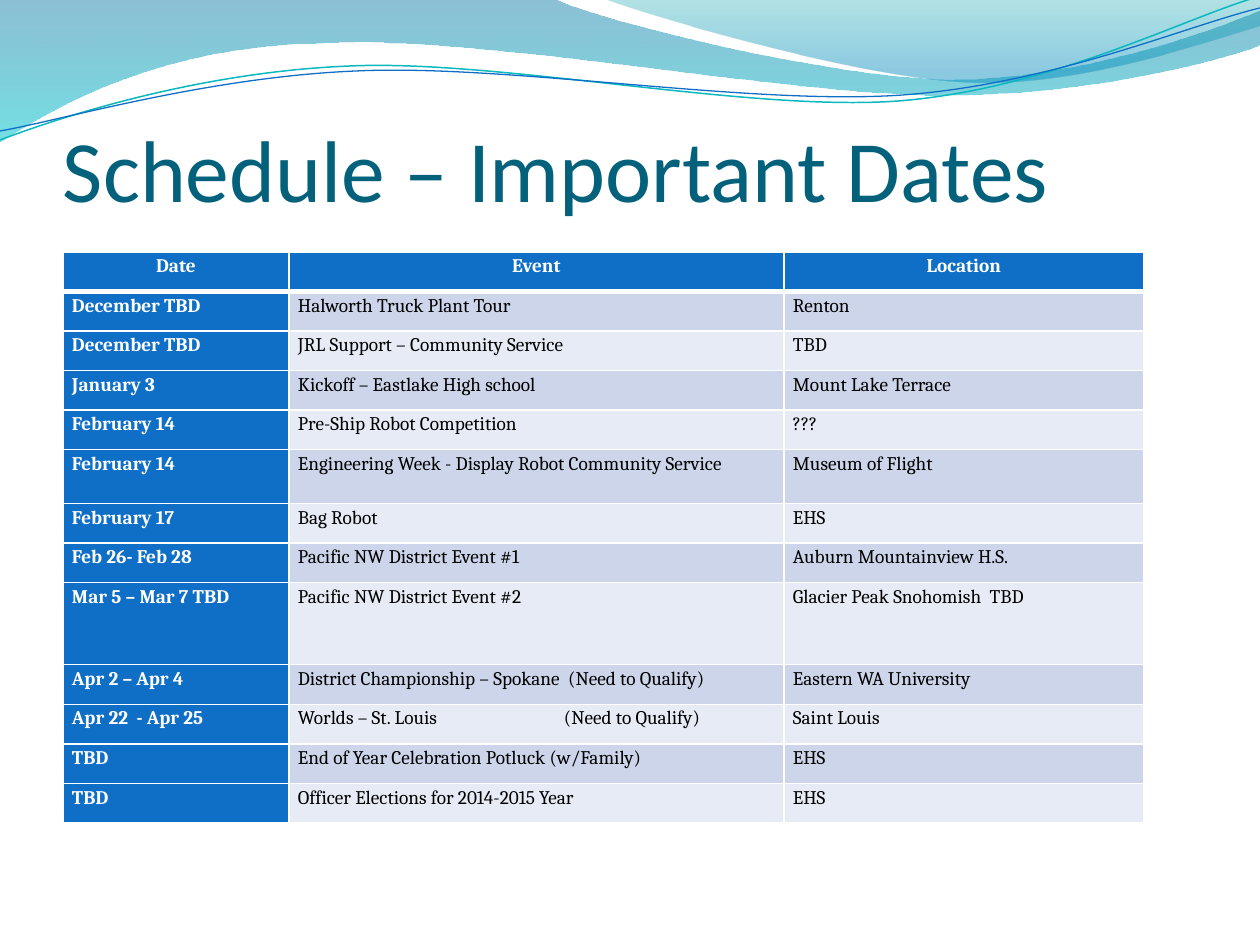
from lxml.etree import SubElement
from pptx import Presentation
from pptx.dml.color import RGBColor
from pptx.enum.text import MSO_ANCHOR, PP_ALIGN
from pptx.oxml.ns import qn
from pptx.util import Pt

PX = 914400 / 126
TITLE = "Schedule – Important Dates"
HEAD = ("Date", "Event", "Location")
ROWS = [
    ("December TBD", "Halworth Truck Plant Tour", "Renton"),
    ("December TBD", "JRL Support – Community Service", "TBD"),
    ("January 3", "Kickoff – Eastlake High school", "Mount Lake Terrace"),
    ("February 14", "Pre-Ship Robot Competition", "???"),
    ("February 14", "Engineering Week - Display Robot Community Service", "Museum of Flight"),
    ("February 17", "Bag Robot", "EHS"),
    ("Feb 26- Feb 28", "Pacific NW District Event #1", "Auburn Mountainview H.S."),
    ("Mar 5 – Mar 7 TBD", "Pacific NW District Event #2", "Glacier Peak Snohomish  TBD"),
    ("Apr 2 – Apr 4", "District Championship – Spokane  (Need to Qualify)", "Eastern WA University"),
    ("Apr 22  - Apr 25", "Worlds – St. Louis\t(Need to Qualify)", "Saint Louis"),
    ("TBD", "End of Year Celebration Potluck (w/Family)", "EHS"),
    ("TBD", "Officer Elections for 2014-2015 Year", "EHS"),
]
COLS = (226, 495, 360)
TALL = {5: 54, 8: 82}
HIGH = 571
TAB = 266
BLUE = "0F6FC6"
WHITE = "FFFFFF"
BANDS = ("E7EBF5", "CCD5EA")
EDGES = {"a:lnL": 1, "a:lnR": 1, "a:lnT": 1, "a:lnB": 3}

WAVES = [
    ((0, 0), [
        [(554, -1)],
        [(600, 21), (837, 79), (955, 79)],
        [(1075, 79), (1207, 33), (1260, 11)],
        [(1261, 45)],
        [(1239, 55), (1096, 96), (940, 95)],
        [(784, 95), (481, 35), (324, 43)],
        [(163, 45), (58, 105), (-1, 142)],
    ], [(0, "0074A1", 45), (1, "00C6CF", 55)]),
    ((604, -1), [
        [(641, 14), (859, 78), (969, 82)],
        [(1079, 87), (1211, 40), (1260, 26)],
        [(1260, 0)],
    ], [(0, "00A1A9", 30), (0.8, "008BBF", 45)]),
]
LINES = [
    ((0, 140), [
        [(60, 117), (199, 72), (349, 66)],
        [(498, 59), (747, 112), (898, 101)],
        [(1050, 89), (1182, 19), (1257, -3)],
    ], "0AB8BF", 0.85),
    ((0, 131), [
        [(59, 121), (207, 77), (357, 71)],
        [(508, 64), (752, 106), (903, 95)],
        [(1053, 84), (1186, 26), (1260, 8)],
    ], BLUE, 0.75),
]


def px(num):
    return round(num * PX)


def rgb(code):
    return RGBColor.from_string(code)


def draw(slide, start, parts, close):
    pen = slide.shapes.build_freeform(px(start[0]), px(start[1]))
    pen.add_line_segments([(px(x), px(y)) for part in parts for x, y in part], close=close)
    shape = pen.convert_to_shape()
    shape.shadow.inherit = False
    legs = iter(list(shape._element.spPr.iter(qn("a:lnTo"))))
    for part in parts:
        group = [next(legs) for _ in part]
        if len(group) == 3:
            first = group[0]
            first.tag = qn("a:cubicBezTo")
            for leg in group[1:]:
                first.append(leg[0])
                leg.getparent().remove(leg)
    return shape


def add_wave(slide, start, parts, stops):
    shape = draw(slide, start, parts, True)
    shape.line.fill.background()
    shape.fill.gradient()
    shape.fill.gradient_angle = 270
    for stop, (pos, code, _) in zip(shape.fill.gradient_stops, stops):
        stop.position = pos
        stop.color.rgb = rgb(code)
    tints = shape._element.spPr.iter(qn("a:srgbClr"))
    for tint, (_, _, alpha) in zip(tints, stops):
        SubElement(tint, qn("a:alpha"), val=str(alpha * 1000))


def add_line(slide, start, parts, code, width):
    shape = draw(slide, start, parts, False)
    shape.fill.background()
    shape.line.color.rgb = rgb(code)
    shape.line.width = Pt(width)


def style(para, face, size, code, bold=False):
    for run in para.runs:
        run.font.name = face
        run.font.size = Pt(size)
        run.font.bold = bold
        run.font.color.rgb = rgb(code)


def add_title(slide):
    frame = slide.shapes.add_textbox(px(63), px(97), px(1134), px(123)).text_frame
    frame.word_wrap = True
    frame.vertical_anchor = MSO_ANCHOR.BOTTOM
    frame.margin_left = frame.margin_right = frame.margin_bottom = 0
    frame.margin_top = px(6)
    frame.text = TITLE
    style(frame.paragraphs[0], "Calibri", 50, "04617B")


def add_edges(cell):
    props = cell._tc.get_or_add_tcPr()
    for spot, (tag, width) in enumerate(EDGES.items()):
        edge = SubElement(props, qn(tag), w=str(Pt(width)))
        SubElement(SubElement(edge, qn("a:solidFill")), qn("a:srgbClr"), val=WHITE)
        props.insert(spot, edge)


def fill_cell(cell, text, row, col):
    lead = row == 0 or col == 0
    cell.margin_left = cell.margin_right = px(9)
    cell.margin_top = cell.margin_bottom = 0
    cell.fill.solid()
    cell.fill.fore_color.rgb = rgb(BLUE if lead else BANDS[row % 2])
    para = cell.text_frame.paragraphs[0]
    para.text = text
    para.line_spacing = 1.15
    if row == 0:
        para.alignment = PP_ALIGN.CENTER
        add_edges(cell)
    if "\t" in text:
        tabs = SubElement(para._p.get_or_add_pPr(), qn("a:tabLst"))
        SubElement(tabs, qn("a:tab"), pos=str(px(TAB)), algn="l")
    style(para, "Cambria", 11, WHITE if lead else "000000", lead)


def add_dates(slide):
    data = [HEAD, *ROWS]
    each = (HIGH - sum(TALL.values())) / (len(data) - len(TALL))
    frame = slide.shapes.add_table(len(data), len(COLS), px(63), px(252), px(sum(COLS)), px(HIGH))
    table = frame.table
    table.first_col = True
    for col, width in zip(table.columns, COLS):
        col.width = px(width)
    for r, texts in enumerate(data):
        table.rows[r].height = px(TALL.get(r, each))
        for c, text in enumerate(texts):
            fill_cell(table.cell(r, c), text, r, c)


def main():
    deck = Presentation()
    deck.slide_width, deck.slide_height = px(1260), px(945)
    slide = deck.slides.add_slide(deck.slide_layouts[6])
    for wave in WAVES:
        add_wave(slide, *wave)
    for line in LINES:
        add_line(slide, *line)
    add_title(slide)
    add_dates(slide)
    deck.save("out.pptx")


if __name__ == "__main__":
    main()
